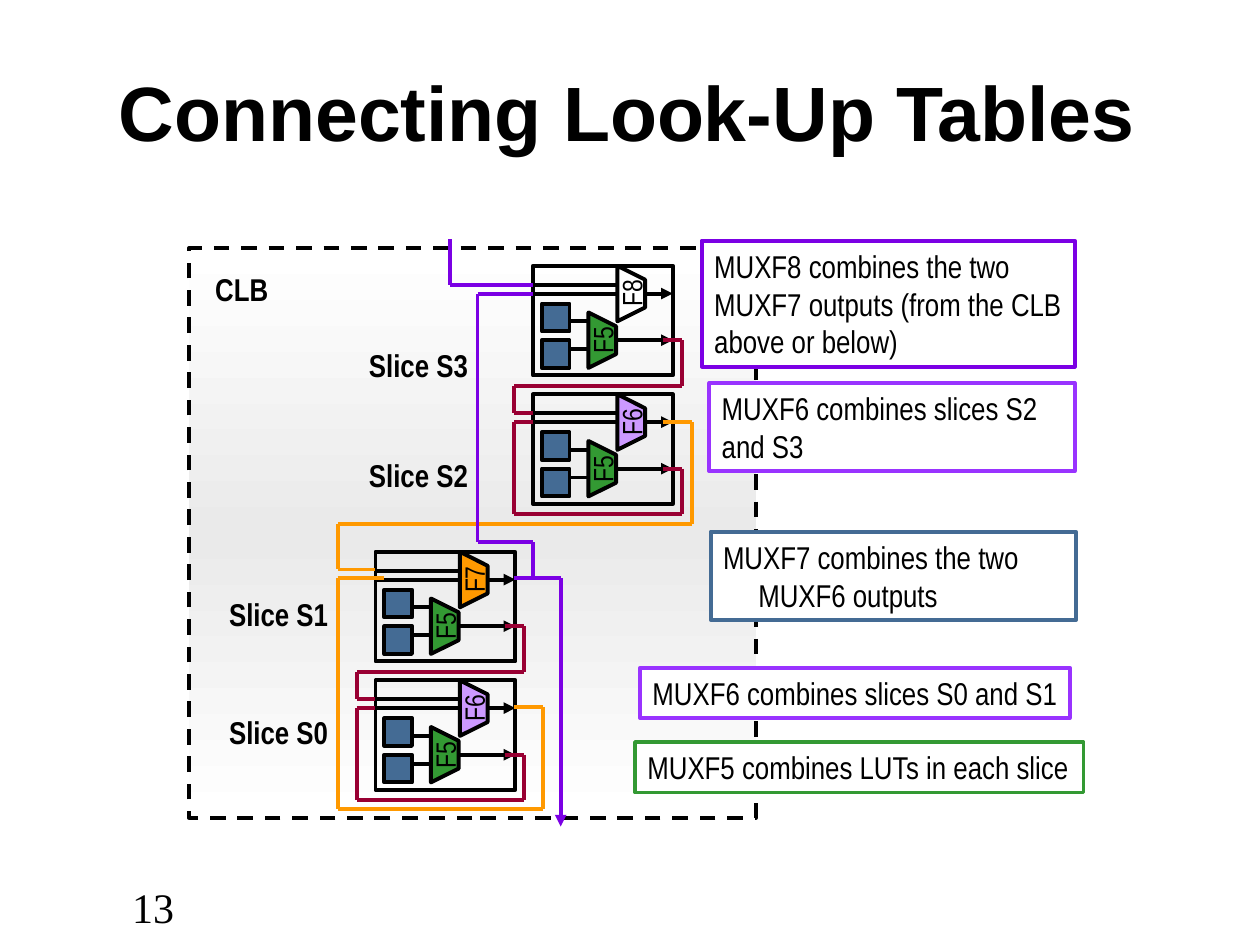
from copy import deepcopy
from itertools import pairwise

from pptx import Presentation
from pptx.dml.color import RGBColor
from pptx.enum import dml, shapes, text
from pptx.oxml.ns import qn
from pptx.oxml.xmlchemy import OxmlElement
from pptx.util import Inches, Pt

BLACK, WHITE, BLUE, GREEN = "000000", "FFFFFF", "446B94", "339933"
LILAC, ORANGE, RED, PURPLE, VIOLET = "CC99FF", "FF9900", "990033", "7B00E4", "9933FF"
NARROW = dict(name="Arial Narrow", size=Pt(18))
BOLD = dict(NARROW, bold=True)
MUX_FONT = dict(NARROW, size=Pt(16))
CENTER = dict(alignment=text.PP_ALIGN.CENTER)
MIDDLE = dict(vertical_anchor=text.MSO_ANCHOR.MIDDLE)
GROW = dict(auto_size=text.MSO_AUTO_SIZE.SHAPE_TO_FIT_TEXT)

SLICES = [  # left, top, upper mux, its colour
    (4.23, 2.11, "F8", WHITE),
    (4.23, 3.13, "F6", LILAC),
    (2.98, 4.38, "F7", ORANGE),
    (2.98, 5.40, "F6", LILAC),
]
SLICE_SIZE = (1.11, 0.87)
LUTS = [(0.07, 0.30), (0.07, 0.59)]
LUT_SIZE = 0.22
MUX_W, MUX_H, MUX_CUT = 0.44, 0.22, 0.11
SLICE_LINES = [  # x1, x2, y, arrow, all from the slice corner
    (0.30, 0.44, 0.44, False), (0.30, 0.44, 0.66, False),
    (0, 0.66, 0.15, False), (0, 0.66, 0.22, False),
    (0.89, 1.11, 0.22, True), (0.67, 1.11, 0.59, True),
]
F5_WIRE = [(1.03, 0.59), (1.18, 0.59), (1.18, 0.95), (-0.15, 0.95)]
F5_ENDS = [  # the upper slice of a pair feeds the one below, the lower feeds itself
    [(-0.15, 1.17), (0, 1.17)],
    [(-0.15, 0.22), (0, 0.22)],
]
WIRES = [  # colour, arrow at the end, points
    (ORANGE, False, [(4.08, 5.61), (4.31, 5.61), (4.31, 6.42), (2.68, 6.42),
                     (2.68, 4.59), (3.05, 4.59)]),
    (ORANGE, False, [(5.26, 3.35), (5.49, 3.35), (5.49, 4.16), (2.68, 4.16),
                     (2.68, 4.52), (2.98, 4.52)]),
    (PURPLE, True, [(4.08, 4.59), (4.45, 4.59), (4.45, 6.56)]),
    (PURPLE, False, [(4.23, 4.59), (4.23, 4.3), (3.79, 4.3), (3.79, 2.33), (4.23, 2.33)]),
    (PURPLE, False, [(3.57, 1.9), (3.57, 2.26), (4.23, 2.26)]),
]
LABELS = [
    (1.61, 2.09, 0.64, "CLB"),
    (2.83, 2.70, 1.0, "Slice S3"),
    (2.83, 3.57, 1.0, "Slice S2"),
    (1.72, 4.67, 1.0, "Slice S1"),
    (1.72, 5.61, 1.0, "Slice S0"),
]
NOTES = [  # box, line colour, wrap, hanging indent, text
    ((5.57, 1.91, 2.96, 1.0), PURPLE, True, 0,
     "MUXF8 combines the two MUXF7 outputs (from the CLB above or below)"),
    ((5.63, 3.04, 2.9, 0.7), VIOLET, True, 0, "MUXF6 combines slices S2 and S3"),
    ((5.64, 4.22, 2.9, 0.7), BLUE, True, 0.28, "MUXF7 combines the two MUXF6 outputs"),
    ((5.08, 5.3, 3.41, 0.4), VIOLET, False, 0, "MUXF6 combines slices S0 and S1"),
    ((5.04, 5.89, 3.56, 0.4), GREEN, False, 0, "MUXF5 combines LUTs in each slice"),
]


def rgb(value):
    return RGBColor.from_string(value)


def apply(obj, values):
    for name, value in values.items():
        setattr(obj, name, value)


def paint(sp, fill=None, line=BLACK):
    sp.shadow.inherit = False
    if fill:
        sp.fill.solid()
        sp.fill.fore_color.rgb = rgb(fill)
    else:
        sp.fill.background()
    sp.line.color.rgb = rgb(line)
    sp.line.width = Pt(2.25)


def write(sp, words, font, wrap=False, para=None, frame=None):
    tf = sp.text_frame
    apply(tf, dict(word_wrap=wrap, **(frame or {})))
    p = tf.paragraphs[0]
    apply(p, para or dict(alignment=text.PP_ALIGN.LEFT))
    r = p.add_run()
    r.text = words
    apply(r.font, font)
    r.font.color.rgb = rgb(BLACK)


def add_rect(parent, box, fill=None, line=BLACK):
    sp = parent.add_shape(shapes.MSO_SHAPE.RECTANGLE, *map(Inches, box))
    paint(sp, fill, line)
    return sp


def add_label(parent, box, words, font, **layout):
    write(parent.add_textbox(*map(Inches, box)), words, font, **layout)


def add_wire(parent, points, color=BLACK, arrow=False):
    """Join the points with straight connectors; the last may carry an arrowhead."""
    for start, end in pairwise(points):
        c = parent.add_connector(shapes.MSO_CONNECTOR.STRAIGHT, *map(Inches, start + end))
        c.line.color.rgb = rgb(color)
        c.line.width = Pt(2.25)
        c._element.spPr.append(OxmlElement("a:effectLst"))
    if arrow:
        head = OxmlElement("a:tailEnd")
        head.set("type", "triangle")
        c.line._get_or_add_ln().append(head)


def add_mux(parent, x, y, words, fill):
    """Trapezoid drawn flat, then turned so its wide side faces left."""
    corners = [(x + MUX_W, y), (x + MUX_W - MUX_CUT, y + MUX_H), (x + MUX_CUT, y + MUX_H)]
    fb = parent.build_freeform(Inches(x), Inches(y))
    fb.add_line_segments([tuple(map(Inches, c)) for c in corners])
    sp = fb.convert_to_shape()
    paint(sp, fill)
    sp.rotation = 270
    write(sp, words, MUX_FONT, para=CENTER, frame=MIDDLE)


def add_slice(parent, x, y, words, fill):
    group = parent.add_group_shape().shapes
    add_rect(group, (x, y, *SLICE_SIZE))
    add_mux(group, x + 0.33, y + 0.48, "F5", GREEN)
    add_mux(group, x + 0.56, y + 0.11, words, fill)
    for dx, dy in LUTS:
        add_rect(group, (x + dx, y + dy, LUT_SIZE, LUT_SIZE), BLUE)
    for x1, x2, dy, arrow in SLICE_LINES:
        add_wire(group, [(x + x1, y + dy), (x + x2, y + dy)], arrow=arrow)


def add_clb(parent):
    sp = add_rect(parent, (1.5, 1.97, 4.5, 4.52))
    sp.line.dash_style = dml.MSO_LINE.DASH
    sp.fill.gradient()
    sp.fill.gradient_angle = 90
    first = sp._element.spPr.find(".//" + qn("a:gs"))
    first.addnext(deepcopy(first))
    for stop, pos, color in zip(sp.fill.gradient_stops, (0, 0.5, 1), (WHITE, "EAEAEA", WHITE)):
        stop.position = pos
        stop.color.rgb = rgb(color)


def main():
    prs = Presentation()
    prs.slide_width, prs.slide_height = Inches(10), Inches(7.5)
    s = prs.slides.add_slide(prs.slide_layouts[6]).shapes

    add_label(s, (0.52, 0.25, 8.92, 1.25), "Connecting Look-Up Tables",
              dict(name="Arial", size=Pt(44), bold=True), wrap=True, para=CENTER, frame=MIDDLE)
    add_clb(s)
    for part in SLICES:
        add_slice(s, *part)
    for x, y, w, words in LABELS:
        add_label(s, (x, y, w, 0.4), words, BOLD, frame=GROW)
    for i, (x, y, *_) in enumerate(SLICES):
        add_wire(s, [(x + dx, y + dy) for dx, dy in F5_WIRE + F5_ENDS[i % 2]], RED)
    for color, arrow, points in WIRES:
        add_wire(s, points, color, arrow)
    for box, color, wrap, hang, words in NOTES:
        sp = add_rect(s, box, WHITE, color)
        write(sp, words, NARROW, wrap, frame=dict(vertical_anchor=text.MSO_ANCHOR.TOP))
        if hang:
            pPr = sp.text_frame.paragraphs[0]._p.get_or_add_pPr()
            pPr.set("marL", str(Inches(hang)))
            pPr.set("indent", str(-Inches(hang)))
    add_label(s, (0.95, 6.95, 2.41, 0.23), "13",
              dict(name="Times New Roman", size=Pt(24)), wrap=True)
    prs.save("out.pptx")


if __name__ == "__main__":
    main()
